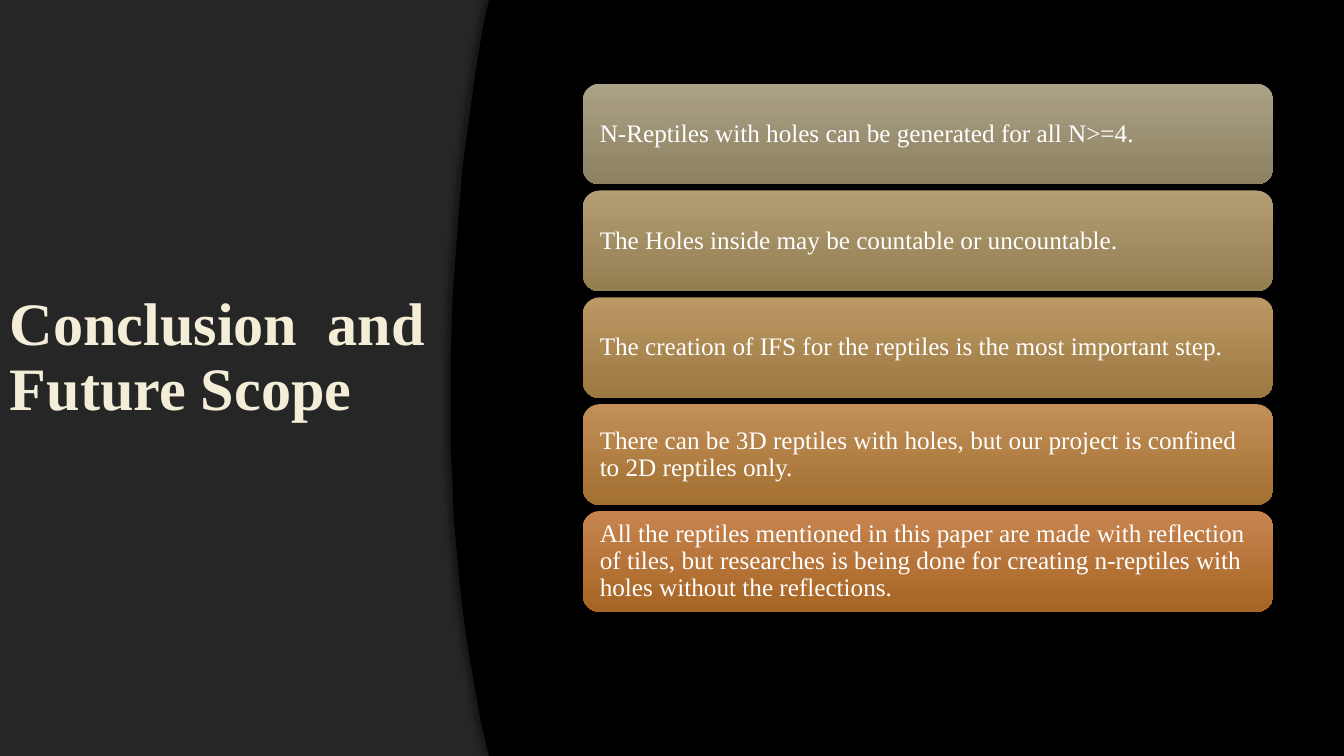
"""Build the conclusion slide: a curved title panel and five stacked statements."""
from lxml import etree
from pptx import Presentation
from pptx.dml.color import RGBColor
from pptx.enum.shapes import MSO_SHAPE
from pptx.enum.text import MSO_ANCHOR, PP_ALIGN
from pptx.oxml.ns import qn
from pptx.util import Inches, Pt

RECTANGLE = MSO_SHAPE.RECTANGLE
ROUNDED = MSO_SHAPE.ROUNDED_RECTANGLE
MIDDLE = MSO_ANCHOR.MIDDLE
LEFT = PP_ALIGN.LEFT

COLORS = {
    "black": "000000",
    "panel": "262626",
    "title": "F4EDD8",
    "outline": "404040",
    "white": "FFFFFF",
}
FONT = "Times New Roman"
WIDTH, HEIGHT = 13.33, 7.5
CARD_LEFT, CARD_TOP = 5.78, 0.83
CARD_WIDTH, CARD_HEIGHT, CARD_PITCH = 6.85, 1, 1.06

STATEMENTS = [
    ("N-Reptiles with holes can be generated for all N>=4.", "ABA185", "8C8162"),
    ("The Holes inside may be countable or uncountable.", "B39E74", "937E52"),
    ("The creation of IFS for the reptiles is the most important step.", "BC9864", "9C7940"),
    ("There can be 3D reptiles with holes, but our project is confined to 2D reptiles only.",
     "C28F58", "A27031"),
    ("All the reptiles mentioned in this paper are made with reflection of tiles, but researches "
     "is being done for creating n-reptiles with holes without the reflections.",
     "C78450", "A66523"),
]

CURVE = [
    (485, 750), (477, 716), (471, 682), (465, 648), (460, 614), (456, 580), (453, 546),
    (450, 513), (449, 480), (447, 448), (447, 416), (447, 384), (447, 354), (448, 324),
    (449, 295), (451, 266), (455, 213), (459, 164), (465, 121), (470, 83), (475, 51),
    (479, 27), (485, 0),
]


def add_shadow(shape, opacity, blur, distance, direction):
    shape.shadow.inherit = False
    effects = shape._element.spPr.find(qn("a:effectLst"))
    shadow = etree.SubElement(
        effects, qn("a:outerShdw"), blurRad=str(Pt(blur)), dist=str(Pt(distance)),
        dir=str(direction * 60000), rotWithShape="0")
    color = etree.SubElement(shadow, qn("a:srgbClr"), val=COLORS["black"])
    etree.SubElement(color, qn("a:alpha"), val=str(opacity * 1000))


def write_text(shape, text, margins, size, color, bold):
    frame = shape.text_frame
    frame_format = {"word_wrap": True, "vertical_anchor": MIDDLE}
    frame_format.update(
        zip(("margin_left", "margin_top", "margin_right", "margin_bottom"), map(Inches, margins)))
    for name, value in frame_format.items():
        setattr(frame, name, value)
    paragraph = frame.paragraphs[0]
    paragraph.alignment = LEFT
    paragraph.line_spacing = 0.9
    run = paragraph.add_run()
    run.text = text
    for name, value in {"name": FONT, "size": Pt(size), "bold": bold}.items():
        setattr(run.font, name, value)
    run.font.color.rgb = RGBColor.from_string(color)
    return run


presentation = Presentation()
presentation.slide_width = Inches(WIDTH)
presentation.slide_height = Inches(HEIGHT)
slide = presentation.slides.add_slide(presentation.slide_layouts[6])
slide.background.fill.solid()
slide.background.fill.fore_color.rgb = RGBColor.from_string(COLORS["black"])

panel = slide.shapes.add_shape(RECTANGLE, 0, 0, Inches(WIDTH), Inches(HEIGHT))
panel.shadow.inherit = False

builder = slide.shapes.build_freeform(WIDTH * 100, 0, scale=Inches(0.01))
builder.add_line_segments([(WIDTH * 100, HEIGHT * 100)] + CURVE, close=True)
curved_area = builder.convert_to_shape()

for shape, color in ((panel, "panel"), (curved_area, "black")):
    shape.fill.solid()
    shape.fill.fore_color.rgb = RGBColor.from_string(COLORS[color])
    shape.line.fill.background()
add_shadow(curved_area, 40, 4, 3, 180)

title = slide.shapes.add_textbox(0, Inches(0.67), Inches(4.68), Inches(5.77))
title_run = write_text(
    title, "Conclusion  and Future Scope", (0.1, 0.05, 0.1, 0.05), 43, COLORS["title"], True)
outline = etree.Element(qn("a:ln"), w=str(Pt(0.75)))
outline_fill = etree.SubElement(outline, qn("a:solidFill"))
outline_color = etree.SubElement(outline_fill, qn("a:srgbClr"), val=COLORS["outline"])
etree.SubElement(outline_color, qn("a:alpha"), val="10000")
title_run.font._element.insert(0, outline)

for row, (text, top_color, bottom_color) in enumerate(STATEMENTS):
    card = slide.shapes.add_shape(
        ROUNDED, Inches(CARD_LEFT), Inches(CARD_TOP + row * CARD_PITCH),
        Inches(CARD_WIDTH), Inches(CARD_HEIGHT))
    card.fill.gradient()
    card.fill.gradient_angle = 270
    for stop, color in zip(card.fill.gradient_stops, (top_color, bottom_color)):
        stop.color.rgb = RGBColor.from_string(color)
    card.line.fill.background()
    add_shadow(card, 60, 5, 2, 90)
    write_text(card, text, (0.12, 0.12, 0.12, 0.12), 18, COLORS["white"], False)

presentation.save("out.pptx")
